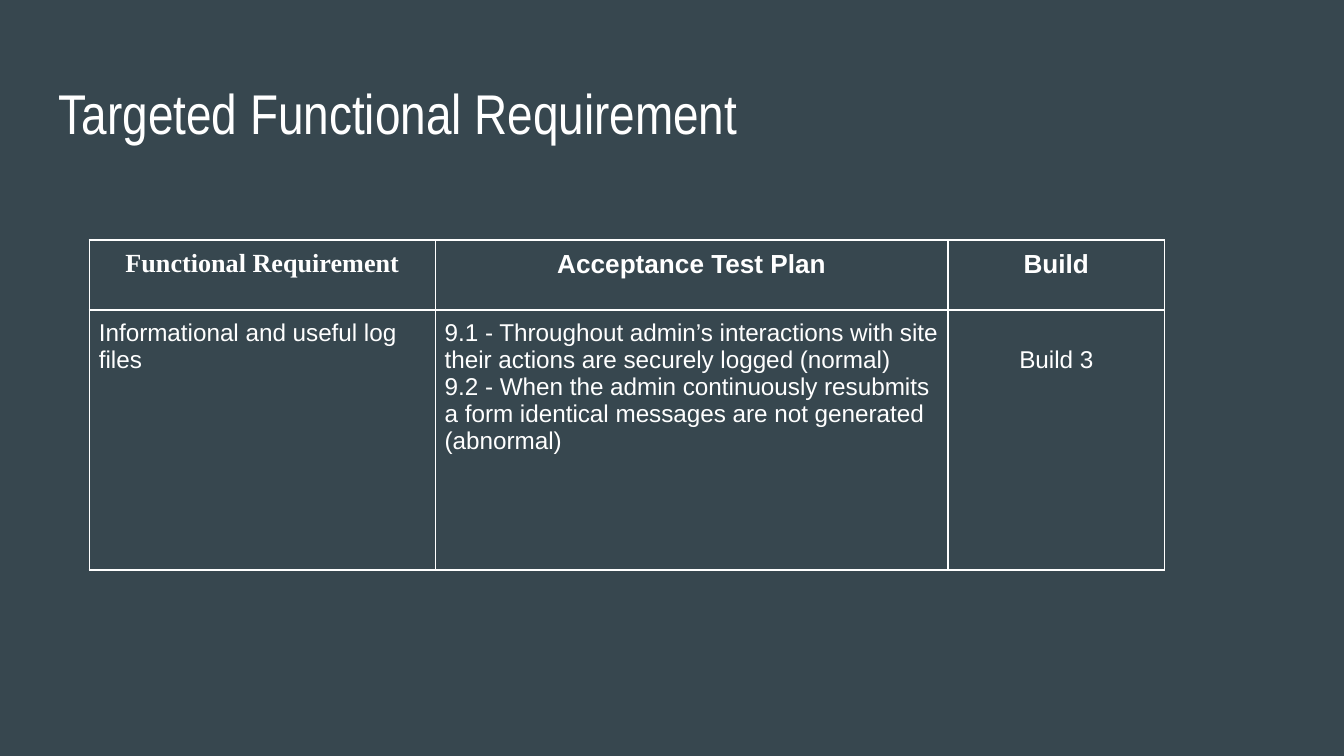
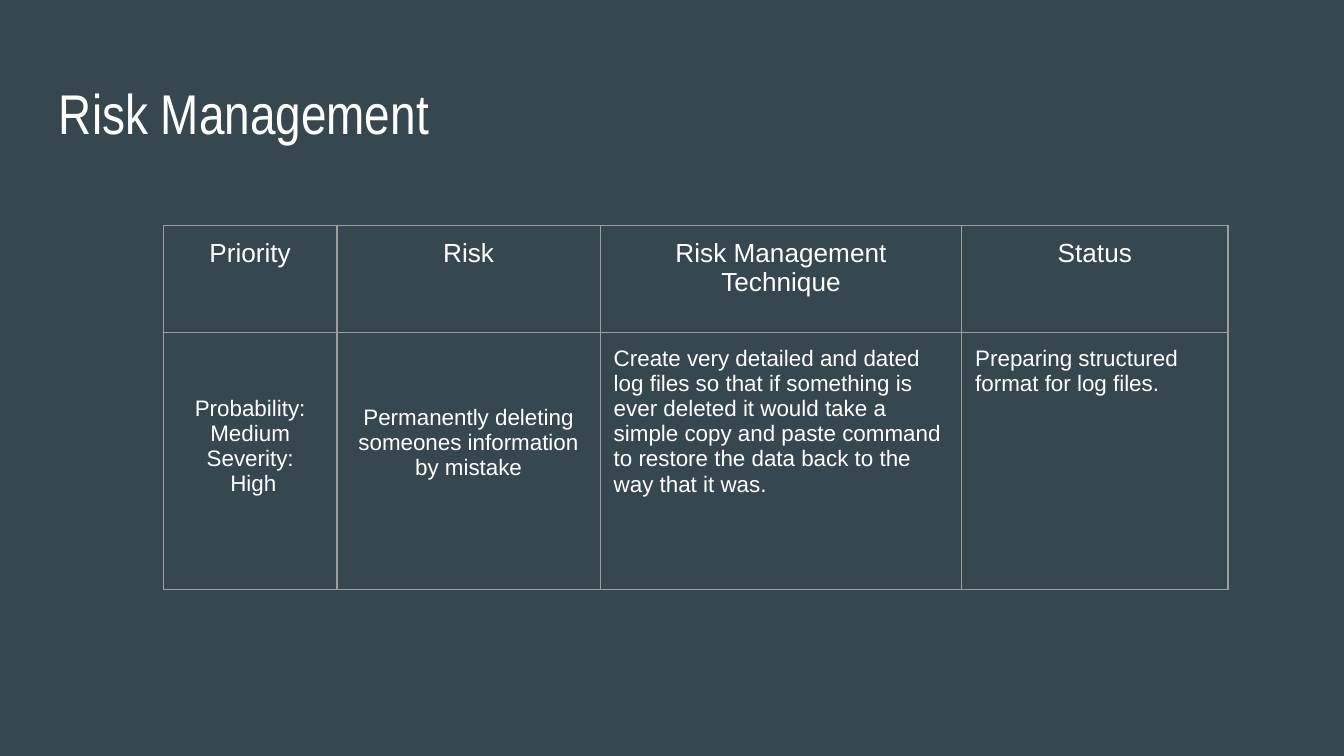
from lxml import etree
from pptx import Presentation
from pptx import util as u
from pptx.dml.color import RGBColor
from pptx.enum import text
from pptx.oxml import ns

SLATE = RGBColor(0x37, 0x47, 0x4F)
WHITE = RGBColor(0xFF, 0xFF, 0xFF)
GREY = RGBColor(0x9E, 0x9E, 0x9E)

SLIDE_W = u.Inches(10)
SLIDE_H = SLIDE_W * 9 // 16
TITLE_BOX = (3.41, 8.65, 93.18, 11.2)  # percent of the slide
BODY_FONT, TITLE_FONT = "Arial", "Arial Narrow"
LEFT, CENTER = text.PP_ALIGN.LEFT, text.PP_ALIGN.CENTER


def place(box):
    """Turn left, top, width, height in percent of the slide into lengths."""
    left, top, width, height = box
    return (round(left * SLIDE_W / 100), round(top * SLIDE_H / 100),
            round(width * SLIDE_W / 100), round(height * SLIDE_H / 100))


def style(paragraph, size, font=BODY_FONT, bold=False, align=LEFT):
    paragraph.alignment = align
    paragraph.font.size = u.Pt(size)
    paragraph.font.name = font
    paragraph.font.bold = bold
    paragraph.font.color.rgb = WHITE


def set_borders(cell, color, width):
    properties = cell._tc.get_or_add_tcPr()
    for position, side in enumerate(("lnL", "lnR", "lnT", "lnB")):
        line = etree.Element(ns.qn(f"a:{side}"), w=str(u.Pt(width)))
        fill = etree.SubElement(line, ns.qn("a:solidFill"))
        etree.SubElement(fill, ns.qn("a:srgbClr"), val=str(color))
        properties.insert(position, line)


def fill_cell(cell, lines, size, inset, drop=0, **look):
    """Write one paragraph per line, starting drop inches below the inset."""
    cell.fill.background()
    cell.vertical_anchor = text.MSO_ANCHOR.TOP
    cell.margin_left = cell.margin_right = cell.margin_bottom = u.Inches(inset)
    cell.margin_top = u.Inches(inset + drop)
    cell.text_frame.text = "\n".join(lines)
    for paragraph in cell.text_frame.paragraphs:
        style(paragraph, size, **look)


def add_titled_slide(deck, title):
    slide = deck.slides.add_slide(deck.slide_layouts[6])
    slide.background.fill.solid()
    slide.background.fill.fore_color.rgb = SLATE
    frame = slide.shapes.add_textbox(*place(TITLE_BOX)).text_frame
    frame.word_wrap = True
    frame.margin_left = frame.margin_right = u.Inches(0.1)
    frame.margin_top = frame.margin_bottom = u.Inches(0.1)
    frame.text = title
    style(frame.paragraphs[0], 30, TITLE_FONT)
    return slide


def add_grid(slide, box, columns, rows, cells, inset, border):
    """Split the box by column and row shares; cells hold fill_cell arguments."""
    left, top, width, height = place(box)
    table = slide.shapes.add_table(len(rows), len(columns),
                                   left, top, width, height).table
    table.first_row = table.horz_banding = False
    for column, share in zip(table.columns, columns):
        column.width = round(width * share / sum(columns))
    for row, share in zip(table.rows, rows):
        row.height = round(height * share / sum(rows))
    for row, contents in zip(table.rows, cells):
        for cell, content in zip(row.cells, contents):
            fill_cell(cell, inset=inset, **content)
            set_borders(cell, *border)


def requirement_slide(deck):
    slide = add_titled_slide(deck, "Targeted Functional Requirement")
    heading = dict(size=14, bold=True, align=CENTER)
    headings = [
        dict(heading, lines=["Functional Requirement"], font="Times New Roman"),
        dict(heading, lines=["Acceptance Test Plan"]),
        dict(heading, lines=["Build"]),
    ]
    details = [
        dict(lines=["Informational and useful log files"], size=13),
        dict(lines=[
            "9.1 - Throughout admin’s interactions with site their actions "
            "are securely logged (normal)",
            "9.2 - When the admin continuously resubmits a form identical "
            "messages are not generated (abnormal)"], size=13),
        dict(lines=["Build 3"], size=13, drop=0.2, align=CENTER),
    ]
    add_grid(slide, (6.66, 31.77, 80, 43.65), (2.57, 3.81, 1.61),
             (0.52, 1.93), [headings, details], 0.07, (WHITE, 1))


def risk_slide(deck):
    slide = add_titled_slide(deck, "Risk Management")
    headings = [dict(lines=[name], size=14, align=CENTER) for name in
                ("Priority", "Risk", "Risk Management Technique", "Status")]
    details = [
        dict(lines=["Probability:", "Medium", "Severity:", " High"],
             size=12, drop=0.37, align=CENTER),
        dict(lines=["Permanently deleting someones information by mistake"],
             size=12, drop=0.44, align=CENTER),
        dict(lines=[
            "Create very detailed and dated log files so that if something is "
            "ever deleted it would take a simple copy and paste command to "
            "restore the data back to the way that it was."], size=12),
        dict(lines=["Preparing structured format for log files."], size=12),
    ]
    add_grid(slide, (12.17, 29.8, 79.2, 48.2), (1.29, 1.96, 2.69, 1.98),
             (0.8, 1.91), [headings, details], 0.1, (GREY, 0.75))


def main():
    deck = Presentation()
    deck.slide_width, deck.slide_height = SLIDE_W, SLIDE_H
    requirement_slide(deck)
    risk_slide(deck)
    deck.save("out.pptx")


if __name__ == "__main__":
    main()
